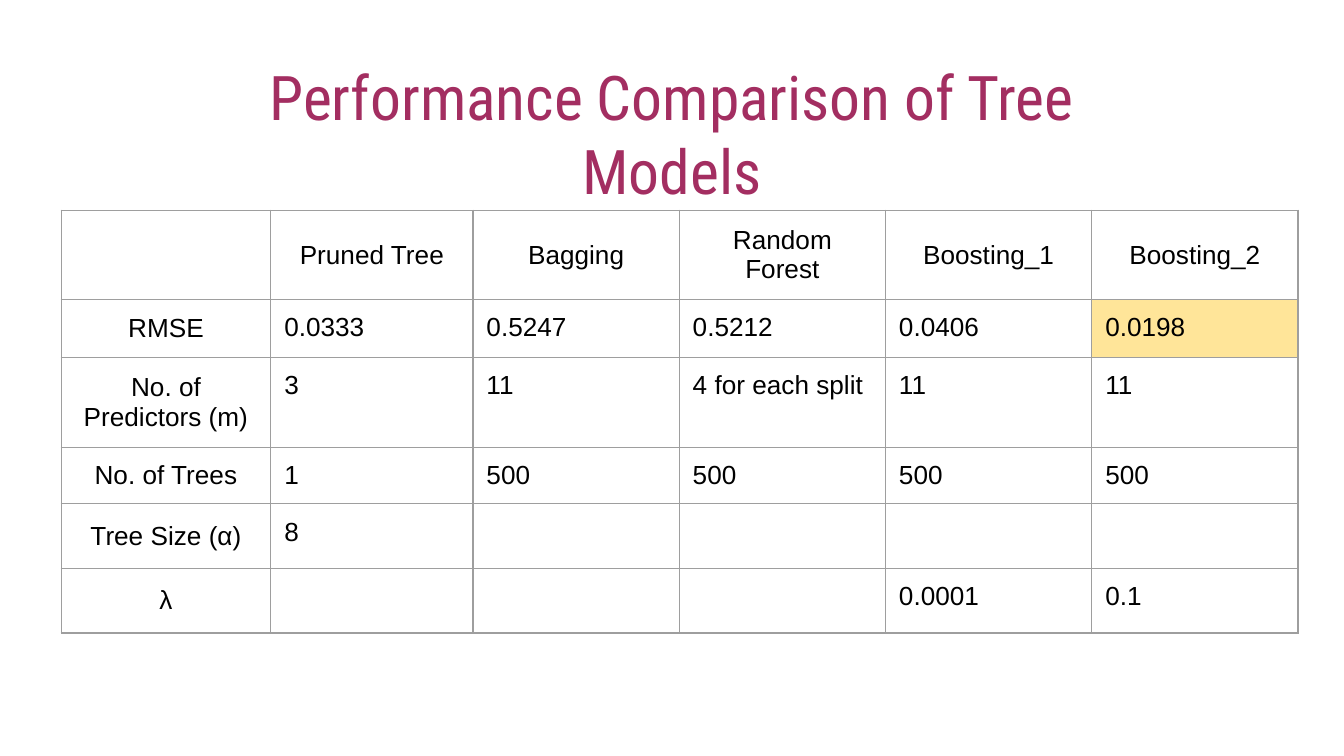
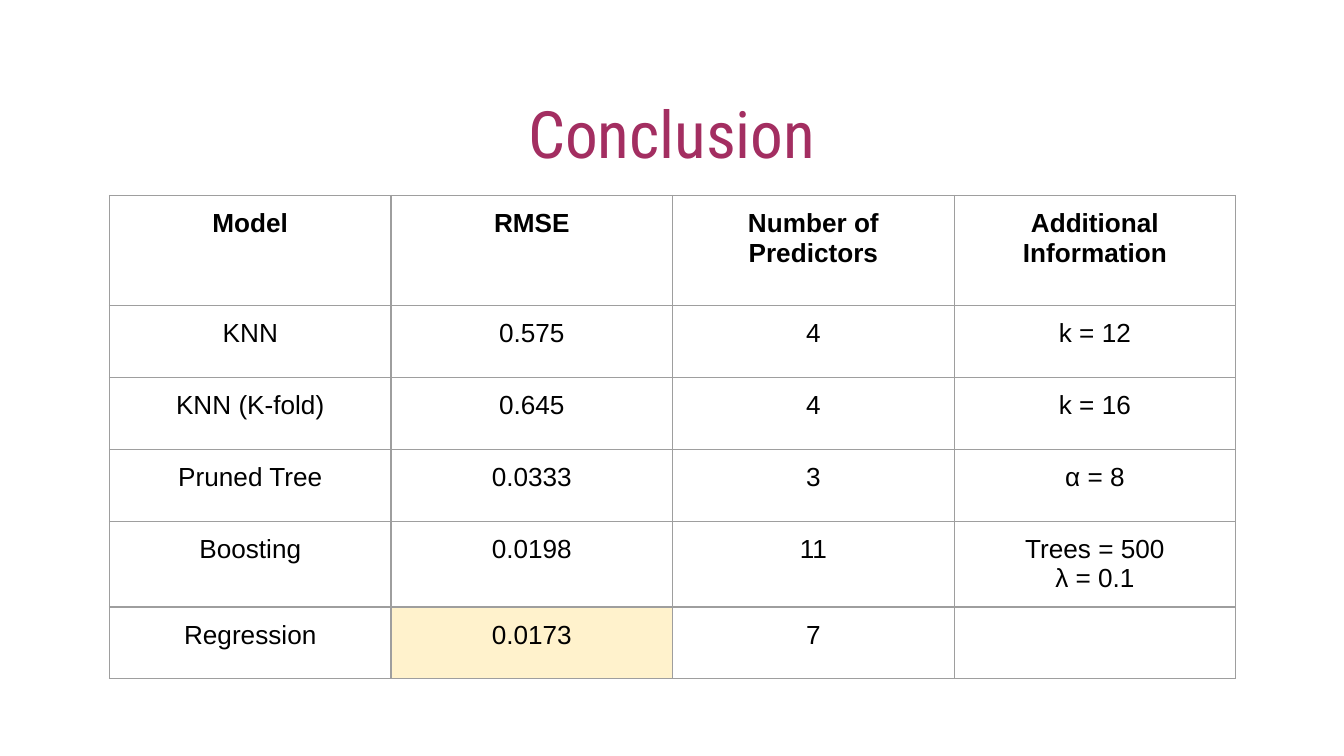
from dataclasses import dataclass

from lxml.etree import SubElement
from pptx import Presentation
from pptx.dml.color import RGBColor as RGB
from pptx.enum.text import MSO_ANCHOR as ANCHOR, MSO_AUTO_SIZE as AUTO, PP_ALIGN as ALIGN
from pptx.oxml.ns import qn
from pptx.util import Pt

PX = 4572  # 200 px to the inch
SIDES = ("left", "right", "top", "bottom")
MARGINS = {f"margin_{side}": 20 * PX for side in SIDES}


@dataclass(frozen=True)
class Theme:
    title_color: str = "A32E61"
    text_color: str = "000000"
    border_color: str = "9E9E9E"
    title_font: str = "Roboto Condensed"
    body_font: str = "Arial"
    body_size: int = 14
    empty_size: int = 18
    border_width: float = 0.75


theme = Theme()

SLIDES = [
    {
        "title": "Performance Comparison of Tree Models",
        "title_top": 68,
        "title_size": 33,
        "table_at": (91, 313),
        "cols": [312, 301] + [307] * 4,
        "row_heights": [133, 86, 134, 84, 84, 84],
        "labels_centered": True,
        "highlight": (1, 5, "FFE599"),
        "rows": [
            ["", "Pruned Tree", "Bagging", "Random Forest", "Boosting_1", "Boosting_2"],
            ["RMSE", "0.0333", "0.5247", "0.5212", "0.0406", "0.0198"],
            ["No. of Predictors (m)", "3", "11", "4 for each split", "11", "11"],
            ["No. of Trees", "1", "500", "500", "500", "500"],
            ["Tree Size (α)", "8", "", "", "", ""],
            ["λ", "", "", "", "0.0001", "0.1"],
        ],
    },
    {
        "title": "Conclusion",
        "title_top": 118,
        "title_size": 35,
        "table_at": (163, 291),
        "cols": [419] * 4,
        "row_heights": [164, 107, 107, 107, 122, 107],
        "labels_centered": False,
        "highlight": (5, 1, "FFF2CC"),
        "rows": [
            ["Model", "RMSE", "Number of Predictors", "Additional Information"],
            ["KNN", "0.575", "4", "k = 12"],
            ["KNN (K-fold)", "0.645", "4", "k = 16"],
            ["Pruned Tree", "0.0333", "3", "α = 8"],
            ["Boosting", "0.0198", "11", "Trees = 500\nλ = 0.1"],
            ["Regression", "0.0173", "7", ""],
        ],
    },
]


def style_text(p, align, color, **font_format):
    p.alignment = align
    for r in p.runs:
        r.font.color.rgb = RGB.from_string(color)
        for name, value in font_format.items():
            setattr(r.font, name, value)


def add_borders(cell):
    """Border elements have to come before the fill in the cell properties."""
    tc_pr = cell._tc.get_or_add_tcPr()
    for side in ("lnL", "lnR", "lnT", "lnB"):
        ln = SubElement(tc_pr, qn(f"a:{side}"), w=str(Pt(theme.border_width)))
        fill = SubElement(ln, qn("a:solidFill"))
        SubElement(fill, qn("a:srgbClr"), val=theme.border_color)


prs = Presentation()
prs.slide_width, prs.slide_height = 2000 * PX, 1125 * PX
title_only = prs.slide_layouts[5]

for page in SLIDES:
    s = prs.slides.add_slide(title_only)

    title = s.shapes.title
    title.left, title.top = 243 * PX, page["title_top"] * PX
    title.width, title.height = 1514 * PX, 124 * PX
    tf = title.text_frame
    tf.text = page["title"]
    frame_format = {"word_wrap": True, "auto_size": AUTO.NONE, "vertical_anchor": ANCHOR.TOP}
    for name, value in (frame_format | MARGINS).items():
        setattr(tf, name, value)
    style_text(tf.paragraphs[0], ALIGN.CENTER, theme.title_color,
               name=theme.title_font, size=Pt(page["title_size"]))

    rows, cols, heights = page["rows"], page["cols"], page["row_heights"]
    left, top = page["table_at"]
    table = s.shapes.add_table(len(rows), len(cols), left * PX, top * PX,
                               sum(cols) * PX, sum(heights) * PX).table
    table.first_row = table.horz_banding = False
    for column, width in zip(table.columns, cols):
        column.width = width * PX
    for row, height in zip(table.rows, heights):
        row.height = height * PX

    labels_centered = page["labels_centered"]
    mark_row, mark_col, mark_color = page["highlight"]
    for i, texts in enumerate(rows):
        for j, text in enumerate(texts):
            cell = table.cell(i, j)
            is_label = labels_centered and (i == 0 or j == 0)
            for name, value in MARGINS.items():
                setattr(cell, name, value)
            cell.vertical_anchor = ANCHOR.MIDDLE if is_label else ANCHOR.TOP
            add_borders(cell)
            if (i, j) == (mark_row, mark_col):
                cell.fill.solid()
                cell.fill.fore_color.rgb = RGB.from_string(mark_color)
            else:
                cell.fill.background()

            cell.text = text
            align = ALIGN.CENTER if is_label or not labels_centered else ALIGN.LEFT
            for p in cell.text_frame.paragraphs:
                style_text(p, align, theme.text_color, name=theme.body_font,
                           size=Pt(theme.body_size), bold=i == 0 and not labels_centered)
                if not text:
                    end = SubElement(p._p, qn("a:endParaRPr"), sz=str(theme.empty_size * 100))
                    SubElement(end, qn("a:latin"), typeface=theme.body_font)

prs.save("out.pptx")
